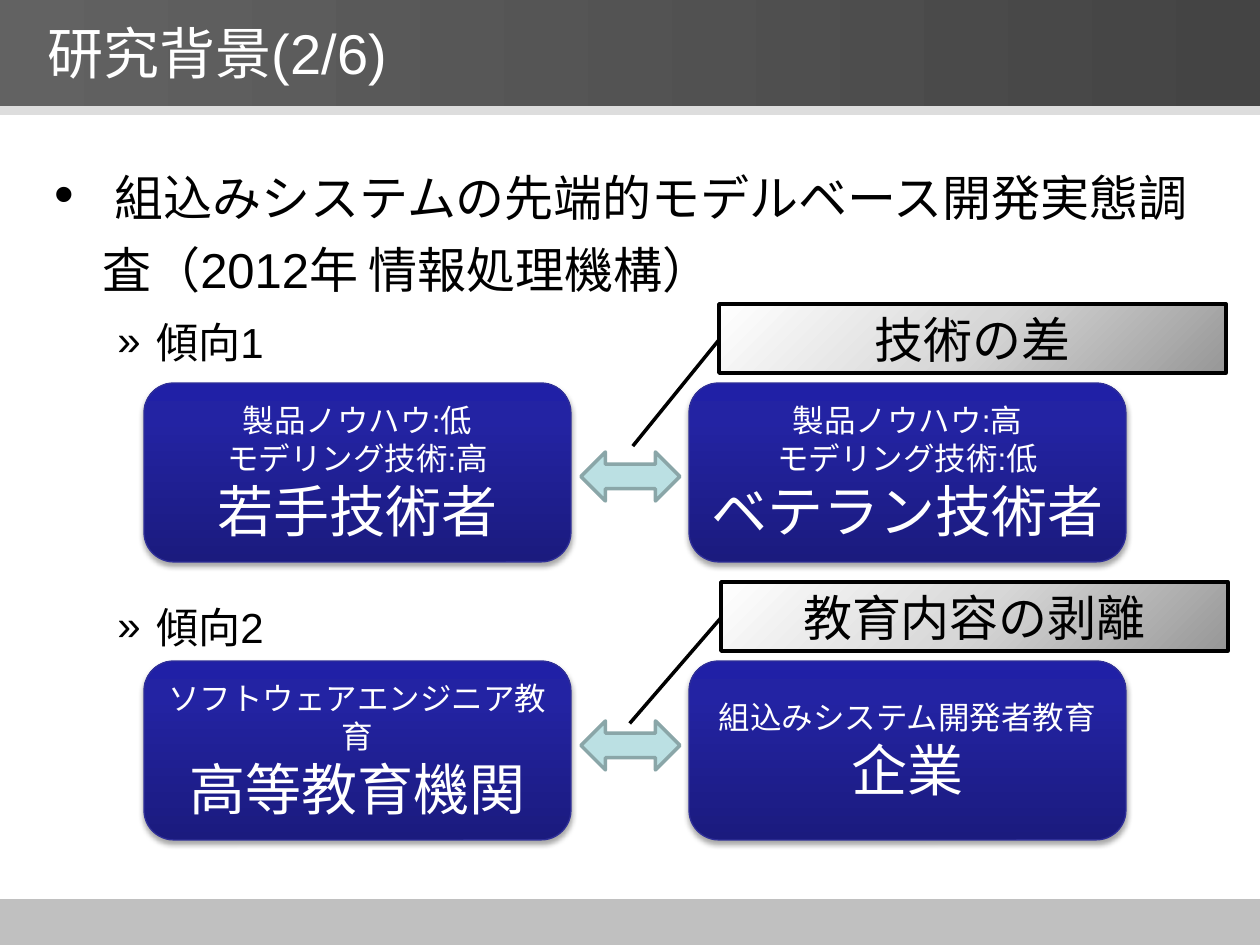
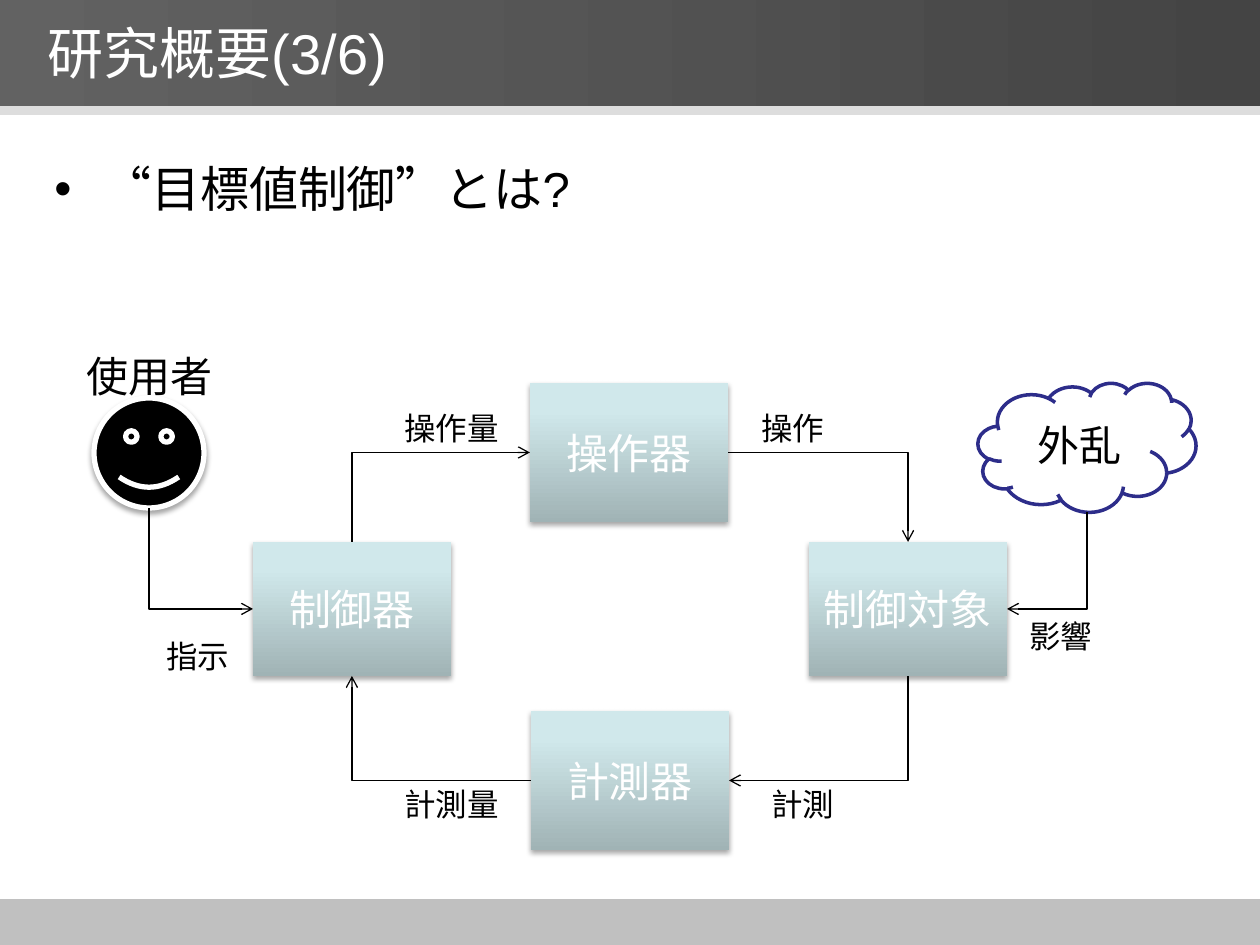
import pptx
import pptx.util
import pptx.dml.color
import pptx.enum.shapes
import pptx.enum.text
import pptx.oxml
import pptx.oxml.ns

PX = 914400 / 126
FONT = "Arial"
WHITE, BLACK = "FFFFFF", "000000"
TITLE_GRAD = [(0, "626262"), (100, "444444")]
NAVY_GRAD = [(0, "1B1B7E"), (80, "2323A3"), (100, "2020A6")]
ICE_GRAD = [(0, "A0B3B5"), (80, "D0E8EB"), (100, "D1EAEC")]
SILVER_GRAD = [(0, "979797"), (50, "D7D7D7"), (100, "FFFFFF")]
SHAPE = pptx.enum.shapes.MSO_SHAPE
ALIGN = pptx.enum.text.PP_ALIGN
ANCHOR = pptx.enum.text.MSO_ANCHOR


def emu(*lengths):
    return [pptx.util.Emu(round(n * PX)) for n in lengths]


def rgb(color):
    return pptx.dml.color.RGBColor.from_string(color)


def xml(markup):
    head, sep, rest = markup.partition(">")
    close = "/" if head.endswith("/") else ""
    head = head.rstrip("/") + " " + pptx.oxml.ns.nsdecls("a") + close
    return pptx.oxml.parse_xml(head + sep + rest)


def style_run(r, size, color):
    r.font.name = FONT
    r.font.size = pptx.util.Pt(size)
    r.font.color.rgb = rgb(color)


def fill_gradient(sp, stops, angle):
    """Angle in degrees, clockwise from left to right."""
    gs = "".join(f'<a:gs pos="{pos * 1000}"><a:srgbClr val="{c}"/></a:gs>'
                 for pos, c in stops)
    grad = xml(f'<a:gradFill rotWithShape="1"><a:gsLst>{gs}</a:gsLst>'
               f'<a:lin ang="{angle * 60000}" scaled="0"/></a:gradFill>')
    sp.fill.solid()
    solid = sp._element.spPr.find(pptx.oxml.ns.qn("a:solidFill"))
    solid.getparent().replace(solid, grad)


def add_shadow(sp):
    effects = sp._element.spPr.find(pptx.oxml.ns.qn("a:effectLst"))
    effects.append(xml(
        '<a:outerShdw blurRad="39370" dist="22860" dir="5400000" rotWithShape="0">'
        '<a:srgbClr val="000000"><a:alpha val="35000"/></a:srgbClr></a:outerShdw>'))


def add_block(s, kind, box, fill, line=None, width=1, angle=270, shadow=False):
    """Fill is one colour or a list of gradient stops."""
    sp = s.shapes.add_shape(kind, *emu(*box))
    sp.shadow.inherit = False
    if isinstance(fill, list):
        fill_gradient(sp, fill, angle)
    else:
        sp.fill.solid()
        sp.fill.fore_color.rgb = rgb(fill)
    if line:
        sp.line.color.rgb = rgb(line)
        sp.line.width = pptx.util.Pt(width)
    else:
        sp.line.fill.background()
    if shadow:
        add_shadow(sp)
    return sp


def write_centred(sp, lines, color):
    """Lines are (text, size) pairs."""
    tf = sp.text_frame
    tf.word_wrap = True
    tf.vertical_anchor = ANCHOR.MIDDLE
    tf.text = "\n".join(text for text, _ in lines)
    for p, (_, size) in zip(tf.paragraphs, lines):
        p.alignment = ALIGN.CENTER
        style_run(p.runs[0], size, color)


def add_label(s, box, text, size):
    tf = s.shapes.add_textbox(*emu(*box)).text_frame
    tf.word_wrap = True
    tf.text = text
    style_run(tf.paragraphs[0].runs[0], size, BLACK)


def add_bullet(s, box, runs, mark, margin, hang):
    """Runs are (text, size) pairs."""
    tf = s.shapes.add_textbox(*emu(*box)).text_frame
    tf.word_wrap = True
    p = tf.paragraphs[0]
    p.line_spacing = 1.2
    p.space_before = pptx.util.Pt(0.2 * runs[-1][1])
    for text, size in runs:
        r = p.add_run()
        r.text = text
        style_run(r, size, BLACK)
    pPr = p._p.get_or_add_pPr()
    left, indent = emu(margin, -hang)
    pPr.set("marL", str(left))
    pPr.set("indent", str(indent))
    pPr.append(xml(f'<a:buFont typeface="{FONT}"/>'))
    pPr.append(xml(f'<a:buChar char="{mark}"/>'))


def add_slide(prs, title):
    s = prs.slides.add_slide(prs.slide_layouts[5])
    add_block(s, SHAPE.RECTANGLE, (0, 899, 1260, 46), "C0C0C0")
    add_block(s, SHAPE.RECTANGLE, (0, 0, 1260, 106), TITLE_GRAD, angle=0)
    add_block(s, SHAPE.RECTANGLE, (0, 106, 1260, 9), "DDDDDD")
    sp = s.shapes.title
    s.shapes._spTree.append(sp._element)  # in front of the bands
    sp.left, sp.top, sp.width, sp.height = emu(35, 0, 1183, 105)
    tf = sp.text_frame
    tf.text = title
    tf.vertical_anchor = ANCHOR.MIDDLE
    tf.auto_size = pptx.enum.text.MSO_AUTO_SIZE.NONE
    tf.paragraphs[0].alignment = ALIGN.LEFT
    style_run(tf.paragraphs[0].runs[0], 32, WHITE)
    return s


def add_topic(s, height, *runs):
    add_bullet(s, (42, 141, 1187, height), runs, "•", 48, 48)


def add_trend(s, top, name, name_rise, groups, arrow_drop, gap, callout_x, pointer):
    """Two groups facing each other, with a callout naming the gap between them."""
    add_bullet(s, (42, top - name_rise, 1187, 95), [(name, 24)], "»", 102, 39)
    for (x, width), lines in zip([(144, 427), (689, 437)], groups):
        sp = add_block(s, SHAPE.ROUNDED_RECTANGLE, (x, top, width, 179), NAVY_GRAD,
                       "2F2F98", 0.75, shadow=True)
        write_centred(sp, lines, WHITE)
    add_block(s, SHAPE.LEFT_RIGHT_ARROW, (581, top + arrow_drop, 99, 49),
              "BBE0E3", "8AA6A8", 2)
    sp = add_block(s, SHAPE.LINE_CALLOUT_1, (callout_x, top - 79, 507, 69),
                   SILVER_GRAD, BLACK, 2, angle=225)
    for i, value in enumerate((0.52, 0, *pointer)):
        sp.adjustments[i] = value
    write_centred(sp, [(gap, 28)], BLACK)


def side_middle(sp, site):
    x, y = sp.left + sp.width // 2, sp.top + sp.height // 2
    return [(x, sp.top), (sp.left, y), (x, sp.top + sp.height),
            (sp.left + sp.width, y)][site]


def add_elbow(s, begin, begin_site, end, end_site, arrow):
    """Runs level from begin, then upright to end; arrow is headEnd or tailEnd."""
    c = s.shapes.add_connector(pptx.enum.shapes.MSO_CONNECTOR.ELBOW,
                               *side_middle(begin, begin_site),
                               *side_middle(end, end_site))
    c.begin_connect(begin, begin_site)
    if end.auto_shape_type == SHAPE.RECTANGLE:
        c.end_connect(end, end_site)
    spPr = c._element.spPr
    spPr.find(pptx.oxml.ns.qn("a:prstGeom")).set("prst", "bentConnector2")
    c.line.color.rgb = rgb(BLACK)
    c.line.width = pptx.util.Pt(0.75)
    c.line._get_or_add_ln().append(xml(f'<a:{arrow} type="arrow"/>'))
    spPr.append(xml("<a:effectLst/>"))


def add_device(s, x, y, height, name):
    sp = add_block(s, SHAPE.RECTANGLE, (x, y, 198, height), ICE_GRAD, shadow=True)
    write_centred(sp, [(name, 24)], WHITE)
    return sp


def add_control_loop(s, x, y):
    controller = add_device(s, x + 159, y + 159, 134, "制御器")
    sensor = add_device(s, x + 437, y + 328, 139, "計測器")
    target = add_device(s, x + 715, y + 159, 134, "制御対象")
    actuator = add_device(s, x + 436, y, 139, "操作器")
    user = add_block(s, SHAPE.SMILEY_FACE, (x, y + 15, 110, 110), BLACK, WHITE, 3,
                     shadow=True)
    cloud = add_block(s, SHAPE.CLOUD, (x + 884, y, 218, 129), WHITE, "2D2D8A", 2)
    write_centred(cloud, [("外乱", 24)], BLACK)

    top, left, bottom, right = range(4)
    for route in [(actuator, left, controller, top, "headEnd"),
                  (actuator, right, target, top, "tailEnd"),
                  (sensor, right, target, bottom, "headEnd"),
                  (sensor, left, controller, bottom, "tailEnd"),
                  (controller, left, user, bottom, "headEnd"),
                  (target, right, cloud, bottom, "headEnd")]:
        add_elbow(s, *route)

    for dx, dy, text in [(298, 20, "操作量"), (655, 20, "操作"), (298, 396, "計測量"),
                         (665, 396, "計測"), (923, 228, "影響"), (60, 248, "指示")]:
        add_label(s, (x + dx, y + dy, 149, 50), text, 18)
    add_label(s, (x - 20, y - 39, 169, 63), "使用者", 24)


def build_background(prs):
    s = add_slide(prs, "研究背景(2/6)")
    add_topic(s, 173, (" ", 32),
              ("組込みシステムの先端的モデルベース開発実態調査（2012年 情報処理機構）", 28))
    add_trend(s, 383, "傾向1", 83,
              [[("製品ノウハウ:低", 18), ("モデリング技術:高", 18), ("若手技術者", 32)],
               [("製品ノウハウ:高", 18), ("モデリング技術:低", 18), ("ベテラン技術者", 32)]],
              69, "技術の差", 719, (2.06, -0.17))
    add_trend(s, 661, "傾向2", 76,
              [[("ソフトウェアエンジニア教育", 18), ("高等教育機関", 32)],
               [("組込みシステム開発者教育", 18), ("企業", 32)]],
              60, "教育内容の剥離", 721, (2.05, -0.18))


def build_overview(prs):
    s = add_slide(prs, "研究概要(3/6)")
    add_topic(s, 752, ("“目標値制御”とは?", 28))
    add_control_loop(s, 94, 383)


def main():
    prs = pptx.Presentation()
    prs.slide_width, prs.slide_height = emu(1260, 945)
    build_background(prs)
    build_overview(prs)
    prs.save("out.pptx")


if __name__ == "__main__":
    main()
